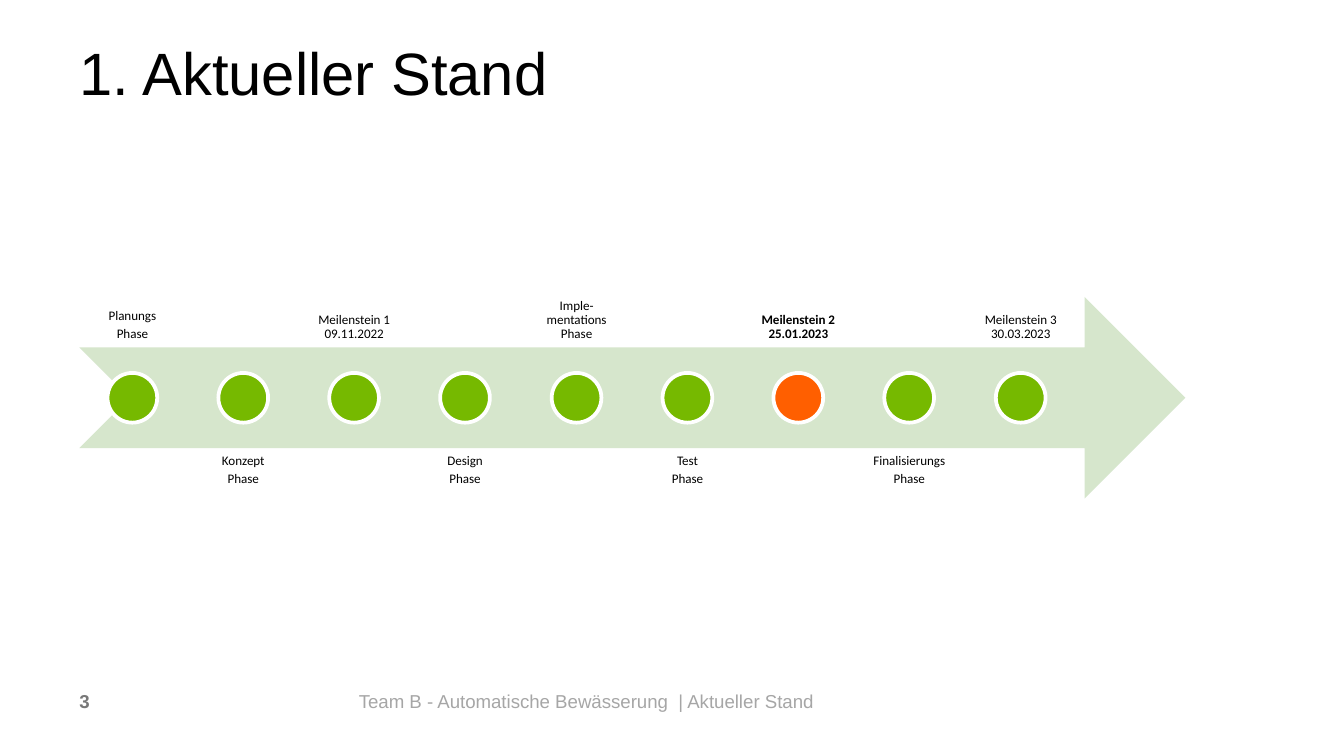
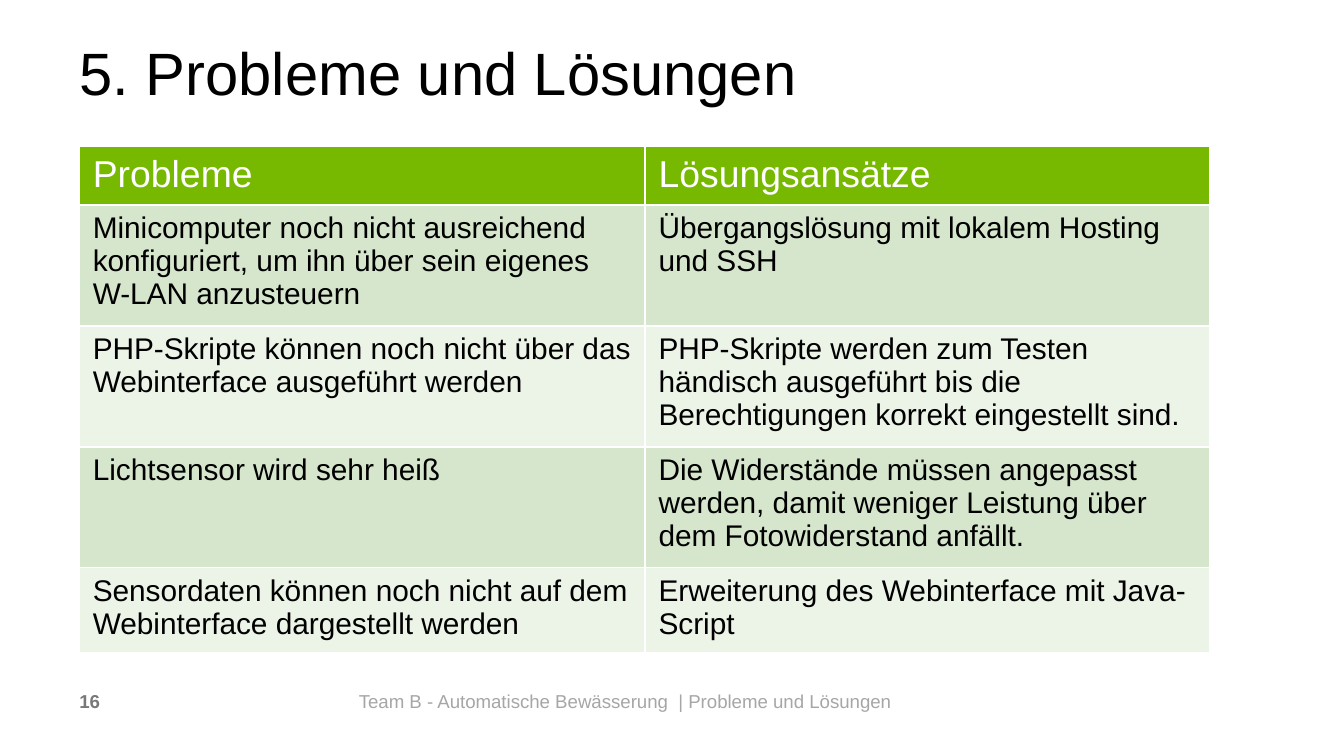
"""Builds two project status slides: a milestone timeline and a table of problems and solutions."""
from pptx import Presentation
from pptx.dml.color import RGBColor
from pptx.enum.shapes import MSO_SHAPE
from pptx.enum.text import MSO_ANCHOR, MSO_AUTO_SIZE, PP_ALIGN
from pptx.util import Pt

PX = 4572
BLACK = RGBColor(0x00, 0x00, 0x00)
WHITE = RGBColor(0xFF, 0xFF, 0xFF)
GREEN = RGBColor(0x76, 0xB9, 0x00)
ORANGE = RGBColor(0xFF, 0x5F, 0x00)
PALE = RGBColor(0xD6, 0xE6, 0xCC)
PALER = RGBColor(0xEC, 0xF3, 0xE7)
GREY = RGBColor(0xA6, 0xA6, 0xA6)
DARK_GREY = RGBColor(0x78, 0x78, 0x78)

LEFT = 118
CONTENT_W = 1646


def write(tf, text, size, color, bold=False, font="Arial"):
    tf.text = text
    for p in tf.paragraphs:
        for r in p.runs:
            r.font.name = font
            r.font.size = Pt(size)
            r.font.bold = bold
            r.font.color.rgb = color


def add_text(s, box, inset, *style):
    tf = s.shapes.add_textbox(*(v * PX for v in box)).text_frame
    tf.word_wrap = True
    tf.margin_left = tf.margin_top = tf.margin_right = tf.margin_bottom = inset * PX
    write(tf, *style)
    return tf


prs = Presentation()
prs.slide_width, prs.slide_height = 2000 * PX, 1125 * PX

pages = [
    ("1. Aktueller Stand", "Aktueller Stand", "3"),
    ("5. Probleme und Lösungen", "Probleme und Lösungen", "16"),
]
slides = []
for heading, section, number in pages:
    s = prs.slides.add_slide(prs.slide_layouts[5])
    title = s.shapes.title
    title.left, title.top = LEFT * PX, 66 * PX
    title.width, title.height = CONTENT_W * PX, 96 * PX
    tf = title.text_frame
    tf.margin_left = tf.margin_top = tf.margin_right = tf.margin_bottom = 0
    tf.vertical_anchor = MSO_ANCHOR.TOP
    tf.auto_size = MSO_AUTO_SIZE.NONE
    write(tf, heading, 32, BLACK)
    tf.paragraphs[0].alignment = PP_ALIGN.LEFT
    tf.paragraphs[0].line_spacing = Pt(34)
    footer = f"Team B - Automatische Bewässerung  | {section}"
    add_text(s, (534, 1026, 1200, 40), 0, footer, 10, GREY)
    add_text(s, (LEFT, 1026, 378, 40), 0, number, 10, DARK_GREY, True)
    slides.append(s)

timeline, problems = slides

arrow = timeline.shapes.add_shape(
    MSO_SHAPE.NOTCHED_RIGHT_ARROW, LEFT * PX, 442 * PX, CONTENT_W * PX, 300 * PX)
arrow.shadow.inherit = False
arrow.fill.solid()
arrow.fill.fore_color.rgb = PALE
arrow.line.fill.background()

steps = [
    "Planungs\nPhase",
    "Konzept\nPhase",
    "Meilenstein 1\v09.11.2022",
    "Design\nPhase",
    "Imple-mentations Phase",
    "Test\nPhase",
    "Meilenstein 2\v25.01.2023",
    "Finalisierungs\nPhase",
    "Meilenstein 3\v30.03.2023",
]
CURRENT = 6
LABEL_W, LABEL_H, DOT = 158, 300, 74
for i, step in enumerate(steps):
    center = 197 + i * 1322 // 8
    above = i % 2 == 0
    box = (center - LABEL_W // 2, 218 if above else 666, LABEL_W, LABEL_H)
    tf = add_text(timeline, box, 10, step, 7, BLACK, i == CURRENT, "Calibri")
    tf.vertical_anchor = MSO_ANCHOR.BOTTOM if above else MSO_ANCHOR.TOP
    for p in tf.paragraphs:
        p.alignment = PP_ALIGN.CENTER
        p.line_spacing = 0.9
        p.space_after = Pt(2.4)
    dot = timeline.shapes.add_shape(
        MSO_SHAPE.OVAL, (center - DOT // 2) * PX, 555 * PX, DOT * PX, DOT * PX)
    dot.shadow.inherit = False
    dot.fill.solid()
    dot.fill.fore_color.rgb = ORANGE if i == CURRENT else GREEN
    dot.line.color.rgb = WHITE
    dot.line.width = Pt(2)

rows = [
    ("Probleme", "Lösungsansätze"),
    ("Minicomputer noch nicht ausreichend konfiguriert, um ihn über sein eigenes W-LAN anzusteuern",
     "Übergangslösung mit lokalem Hosting und SSH"),
    ("PHP-Skripte können noch nicht über das Webinterface ausgeführt werden",
     "PHP-Skripte werden zum Testen händisch ausgeführt bis die Berechtigungen korrekt eingestellt sind."),
    ("Lichtsensor wird sehr heiß",
     "Die Widerstände müssen angepasst werden, damit weniger Leistung über dem Fotowiderstand anfällt."),
    ("Sensordaten können noch nicht auf dem Webinterface dargestellt werden",
     "Erweiterung des Webinterface mit Java-Script"),
]
heights = [82, 168, 168, 168, 118]
table = problems.shapes.add_table(
    len(rows), 2, LEFT * PX, 218 * PX, 1682 * PX, sum(heights) * PX).table
table.columns[0].width, table.columns[1].width = 842 * PX, 840 * PX
for i, (row, height) in enumerate(zip(rows, heights)):
    table.rows[i].height = height * PX
    for j, text in enumerate(row):
        cell = table.cell(i, j)
        cell.fill.solid()
        if i == 0:
            cell.fill.fore_color.rgb = GREEN
            write(cell.text_frame, text, 20, WHITE)
        else:
            cell.fill.fore_color.rgb = PALE if i % 2 else PALER
            write(cell.text_frame, text, 16, BLACK)

prs.save("out.pptx")
